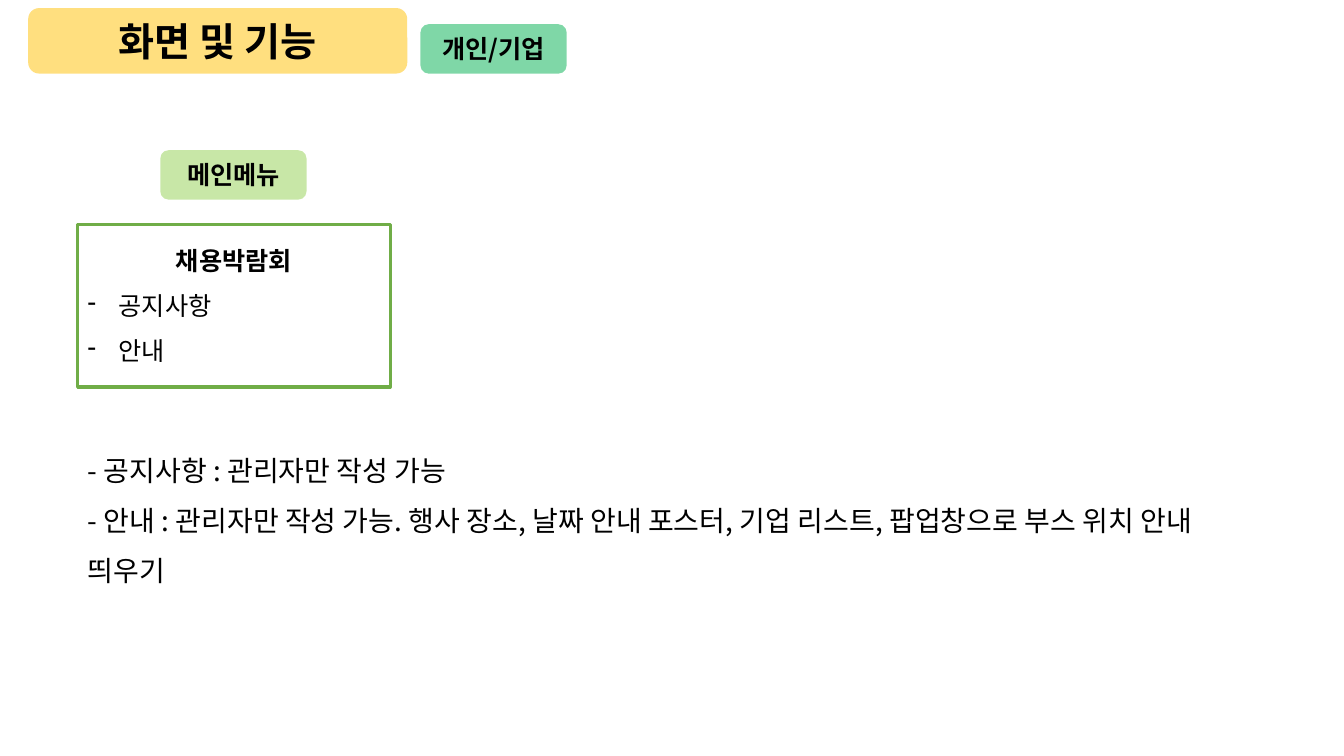
from pptx import Presentation
from pptx.dml.color import RGBColor
from pptx.enum.shapes import MSO_SHAPE as Shape
from pptx.enum.text import MSO_ANCHOR as Anchor, MSO_AUTO_SIZE as AutoSize, PP_ALIGN as Align
from pptx.oxml.ns import qn
from pptx.util import Inches, Pt
from lxml import etree

KOREAN = "Noto Sans CJK KR"


def color(value):
    return RGBColor.from_string(value)


def write(paragraph, text, typeface, **formats):
    run = paragraph.add_run()
    run.text = text
    run.font.color.rgb = color("000000")
    for name, value in {"name": typeface, **formats}.items():
        setattr(run.font, name, value)
    etree.SubElement(run.font._element, qn("a:ea"), typeface=KOREAN)


presentation = Presentation()
presentation.slide_width = Inches(13.33)
presentation.slide_height = Inches(7.5)
slide = presentation.slides.add_slide(presentation.slide_layouts[6])

labels = [
    ("메인메뉴", 1.59, 1.49, 1.45, 0.49, "92D050", 18, "Arial"),
    ("개인/기업", 4.17, 0.24, 1.45, 0.49, "00B050", 18, KOREAN),
    ("화면 및 기능", 0.28, 0.08, 3.76, 0.65, "FFC000", 28, KOREAN),
]
for text, left, top, width, height, fill, size, typeface in labels:
    label = slide.shapes.add_shape(
        Shape.ROUNDED_RECTANGLE, Inches(left), Inches(top), Inches(width), Inches(height))
    label.shadow.inherit = False
    label.line.fill.background()
    label.fill.solid()
    label.fill.fore_color.rgb = color(fill)
    fill_color = label._element.spPr.find(".//" + qn("a:srgbClr"))
    etree.SubElement(fill_color, qn("a:alpha"), val="50000")
    label.text_frame.vertical_anchor = Anchor.MIDDLE
    paragraph = label.text_frame.paragraphs[0]
    paragraph.alignment = Align.CENTER
    write(paragraph, text, typeface, size=Pt(size), bold=True)

menu = slide.shapes.add_shape(
    Shape.RECTANGLE, Inches(0.77), Inches(2.23), Inches(3.1), Inches(1.61))
menu.shadow.inherit = False
menu.fill.background()
menu.line.color.rgb = color("70AD47")
menu.line.width = Pt(2.25)
menu.text_frame.word_wrap = True
menu.text_frame.vertical_anchor = Anchor.TOP
heading = menu.text_frame.paragraphs[0]
heading.alignment = Align.CENTER
heading.line_spacing = 1.5
write(heading, "채용박람회", KOREAN, size=Pt(18), bold=True)
for item in ["공지사항", "안내"]:
    paragraph = menu.text_frame.add_paragraph()
    paragraph.alignment = Align.LEFT
    paragraph.line_spacing = 1.5
    write(paragraph, item, "Arial", size=Pt(18), bold=False)
    properties = paragraph._p.get_or_add_pPr()
    properties.set("marL", str(Inches(0.31)))
    properties.set("indent", str(Inches(-0.31)))
    etree.SubElement(properties, qn("a:buFontTx"))
    etree.SubElement(properties, qn("a:buChar"), char="-")

description = slide.shapes.add_textbox(
    Inches(0.77), Inches(4.28), Inches(11.55), Inches(1.55)).text_frame
description.word_wrap = True
description.auto_size = AutoSize.SHAPE_TO_FIT_TEXT
notes = [
    "- 공지사항 : 관리자만 작성 가능",
    "- 안내 : 관리자만 작성 가능. 행사 장소, 날짜 안내 포스터, 기업 리스트, "
    "팝업창으로 부스 위치 안내 띄우기",
]
for index, note in enumerate(notes):
    paragraph = description.add_paragraph() if index else description.paragraphs[0]
    paragraph.line_spacing = 1.5
    write(paragraph, note, KOREAN, size=Pt(20))

presentation.save("out.pptx")
